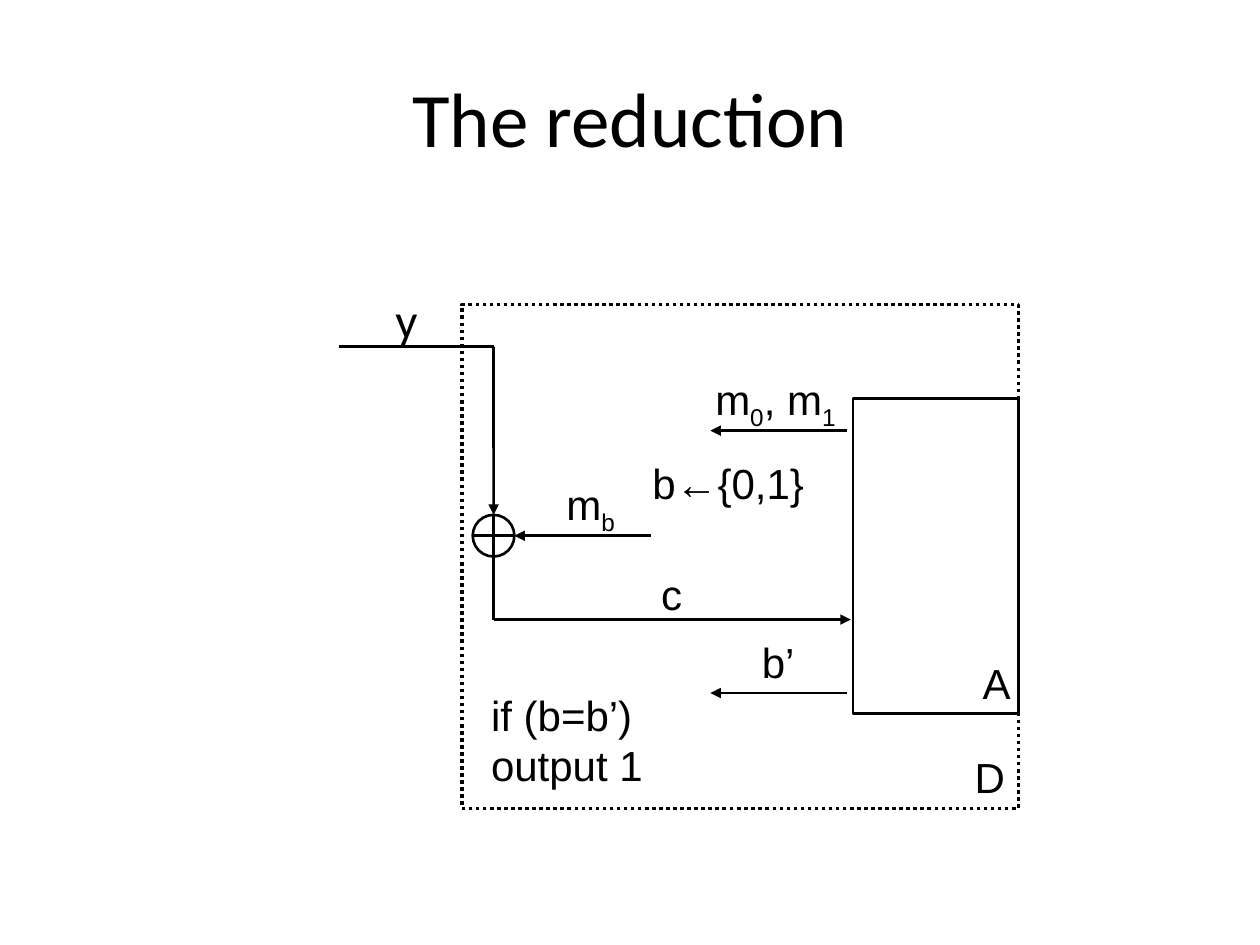
from lxml import etree
from pptx import Presentation
from pptx.dml.color import RGBColor
from pptx.enum.dml import MSO_LINE
from pptx.enum.shapes import MSO_CONNECTOR, MSO_SHAPE
from pptx.enum.text import MSO_ANCHOR, MSO_AUTO_SIZE, PP_ALIGN
from pptx.oxml.ns import qn
from pptx.util import Cm, Pt

STRAIGHT = MSO_CONNECTOR.STRAIGHT
RECTANGLE, OVAL = MSO_SHAPE.RECTANGLE, MSO_SHAPE.OVAL
DOTTED = MSO_LINE.ROUND_DOT
MIDDLE, CENTER = MSO_ANCHOR.MIDDLE, PP_ALIGN.CENTER
GROW = MSO_AUTO_SIZE.SHAPE_TO_FIT_TEXT

THEME = {
    "ink": RGBColor(0, 0, 0),
    "paper": RGBColor(255, 255, 255),
    "title": {"name": "Calibri", "size": Pt(44)},
    "label": {"name": "Arial", "size": Pt(24)},
    "input": {"name": "Calibri", "size": Pt(28)},
    "line": Pt(1.5),
    "border": Pt(2),
}

presentation = Presentation()
presentation.slide_width, presentation.slide_height = Cm(25.4), Cm(19.05)
slide = presentation.slides.add_slide(presentation.slide_layouts[5])
shapes = slide.shapes


def format_run(run, style):
    for attribute, value in THEME[style].items():
        setattr(run.font, attribute, value)
    run.font.color.rgb = THEME["ink"]


def add_line(x1, y1, x2, y2, arrow=False):
    connector = shapes.add_connector(STRAIGHT, Cm(x1), Cm(y1), Cm(x2), Cm(y2))
    connector.line.color.rgb = THEME["ink"]
    connector.line.width = THEME["line"]
    if arrow:
        line = connector.line._get_or_add_ln()
        etree.SubElement(line, qn("a:tailEnd"), type="triangle")
    etree.SubElement(connector._element.spPr, qn("a:effectLst"))
    return connector


# Title
title = shapes.title
title.left, title.top, title.width, title.height = Cm(1.27), Cm(0.76), Cm(22.86), Cm(3.18)
title.text_frame.text = "The reduction"
title.text_frame.vertical_anchor = MIDDLE
title.text_frame.paragraphs[0].alignment = CENTER
format_run(title.text_frame.paragraphs[0].runs[0], "title")

# Distinguisher D, adversary A and the XOR gate
wire_x, input_y, gate_y, cipher_y = 9.95, 6.99, 10.8, 12.49
radius = 0.42
outlines = [
    (RECTANGLE, 9.31, 6.14, 11.22, 10.16, None, "border", DOTTED),
    (RECTANGLE, 17.2, 8.04, 3.33, 6.35, None, "line", None),
    (OVAL, wire_x - radius, gate_y - radius, 2 * radius, 2 * radius, "paper", "line", None),
]
for kind, left, top, width, height, fill, weight, dash in outlines:
    shape = shapes.add_shape(kind, Cm(left), Cm(top), Cm(width), Cm(height))
    shape.shadow.inherit = False
    if fill:
        shape.fill.solid()
        shape.fill.fore_color.rgb = THEME[fill]
    else:
        shape.fill.background()
    shape.line.color.rgb = THEME["ink"]
    shape.line.width = THEME[weight]
    if dash:
        shape.line.dash_style = dash
gate = shape

# Plus sign of the gate
add_line(wire_x - radius, gate_y, wire_x + radius, gate_y)
add_line(wire_x, gate_y - radius, wire_x, gate_y + radius)

# Input wire into the gate and ciphertext wire out of it
add_line(6.83, input_y, wire_x, input_y)
add_line(wire_x, input_y, wire_x, gate_y - radius, arrow=True).end_connect(gate, 0)
add_line(wire_x, gate_y + radius, wire_x, cipher_y)
add_line(wire_x, cipher_y, 17.15, cipher_y, arrow=True)

# Messages from the adversary, and the chosen message into the gate
for message_y in (8.68, 13.97):
    add_line(17.07, message_y, 14.32, message_y, arrow=True)
add_line(13.12, gate_y, wire_x + radius, gate_y, arrow=True)

# Labels: pieces alternate between normal text and subscript
labels = [
    (7.72, 5.72, 0.97, 1.45, "input", ["y"]),
    (14.17, 7.41, 3.02, 1.27, "label", ["m", "0", ", m", "1"]),
    (12.9, 9.1, 3.58, 1.27, "label", ["b←{0,1}"]),
    (11.17, 9.53, 1.52, 1.27, "label", ["m", "b"]),
    (13.08, 11.34, 0.94, 1.27, "label", ["c"]),
    (15.11, 12.7, 1.17, 1.27, "label", ["b’"]),
    (9.65, 13.77, 3.58, 2.29, "label", ["if (b=b’)\voutput 1"]),
    (19.56, 13.13, 1.09, 1.27, "label", ["A"]),
    (19.4, 15.03, 1.12, 1.27, "label", ["D"]),
]
for left, top, width, height, style, pieces in labels:
    box = shapes.add_textbox(Cm(left), Cm(top), Cm(width), Cm(height))
    box.text_frame.word_wrap = False
    box.text_frame.auto_size = GROW
    paragraph = box.text_frame.paragraphs[0]
    paragraph.text = pieces[0]
    for index, piece in enumerate(pieces[1:], start=1):
        run = paragraph.add_run()
        run.text = piece
        if index % 2:
            run._r.get_or_add_rPr().set("baseline", "-25000")
    for run in paragraph.runs:
        format_run(run, style)

presentation.save("out.pptx")
